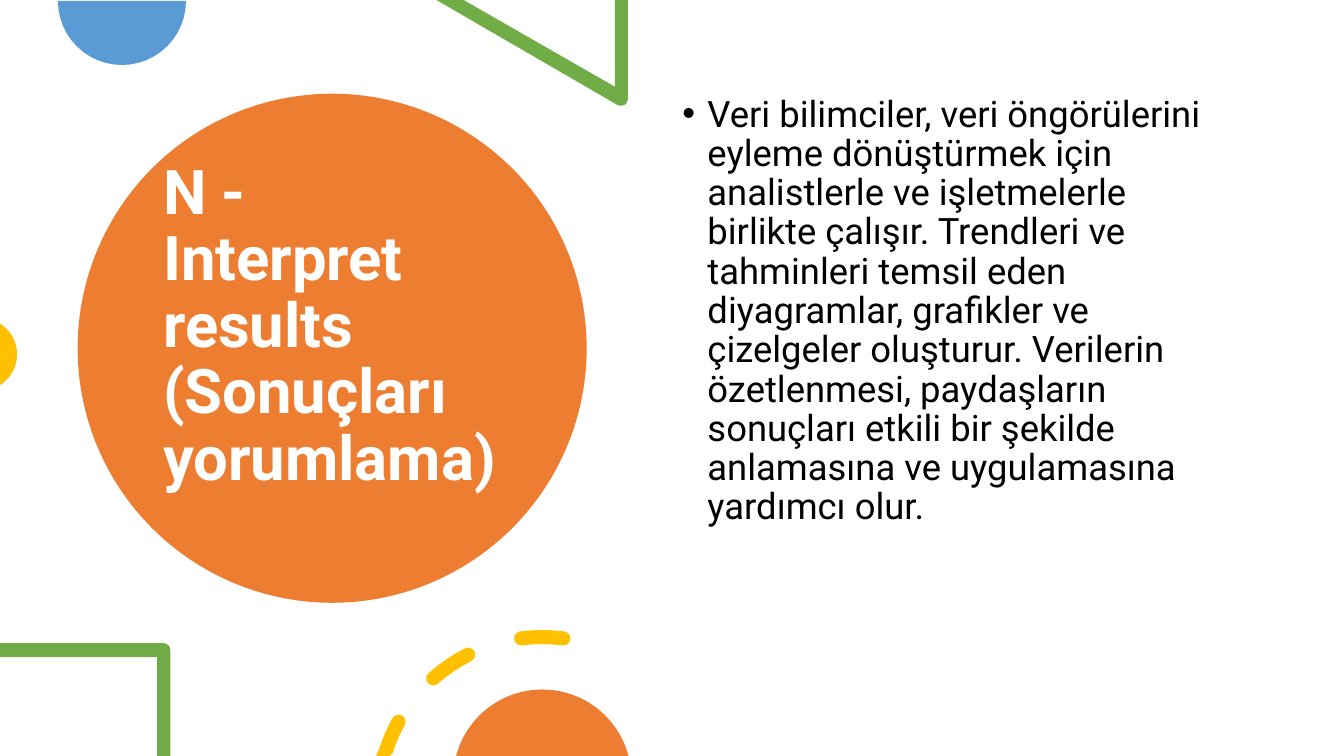
from math import cos, radians, sin

from lxml.etree import SubElement
from pptx import Presentation
from pptx.dml.color import RGBColor
from pptx.enum.shapes import MSO_SHAPE
from pptx.enum.text import MSO_ANCHOR, PP_ALIGN
from pptx.oxml.ns import qn
from pptx.util import Inches, Pt

ORANGE = RGBColor(0xED, 0x7D, 0x31)
BLUE = RGBColor(0x5B, 0x9B, 0xD5)
GREEN = RGBColor(0x70, 0xAD, 0x47)
YELLOW = RGBColor(0xFF, 0xC0, 0x00)
WHITE = RGBColor(0xFF, 0xFF, 0xFF)
BLACK = RGBColor(0x00, 0x00, 0x00)

# The grid has square cells, ten to the inch.
COLUMNS, ROWS = 133.33, 75

TITLE = "N - Interpret results (Sonuçları yorumlama)"
BODY = (
    "Veri bilimciler, veri öngörülerini eyleme dönüştürmek için analistlerle "
    "ve işletmelerle birlikte çalışır. Trendleri ve tahminleri temsil eden "
    "diyagramlar, grafikler ve çizelgeler oluşturur. Verilerin özetlenmesi, "
    "paydaşların sonuçları etkili bir şekilde anlamasına ve uygulamasına "
    "yardımcı olur."
)


def cells(count):
    return Inches(count / 10)


def arc(column, row, radius, start, end, steps=4):
    """Return points along an arc; angles run clockwise from the right."""
    angles = [radians(start + (end - start) * i / steps) for i in range(steps + 1)]
    return [(column + radius * cos(a), row + radius * sin(a)) for a in angles]


def dash(column, row, radius, middle, half_angle, half_width):
    """Return the outline of a thick, round-ended piece of a ring."""
    start, end = middle - half_angle, middle + half_angle
    tail, head = arc(column, row, radius, start, end, steps=1)
    return (
        arc(column, row, radius + half_width, start, end)
        + arc(*head, half_width, end, end + 180, steps=6)
        + arc(column, row, radius - half_width, end, start)
        + arc(*tail, half_width, start + 180, start + 360, steps=6)
    )


class SlideBuilder:
    """Draws flat shapes and text on one slide, measured in grid cells."""

    font = "Roboto"
    line_spacing = 0.9

    def __init__(self, presentation):
        self.slide = presentation.slides.add_slide(presentation.slide_layouts[6])

    def paint(self, shape, colour):
        shape.shadow.inherit = False
        shape.fill.solid()
        shape.fill.fore_color.rgb = colour
        shape.line.fill.background()

    def circle(self, left, top, size, colour):
        disc = self.slide.shapes.add_shape(
            MSO_SHAPE.OVAL, cells(left), cells(top), cells(size), cells(size)
        )
        self.paint(disc, colour)

    def outline(self, colour, *contours):
        """Fill closed contours, cut off at the edges of the slide."""
        builder = None
        for contour in contours:
            first, *rest = [
                (cells(min(max(x, 0), COLUMNS)), cells(min(max(y, 0), ROWS)))
                for x, y in contour
            ]
            if builder is None:
                builder = self.slide.shapes.build_freeform(*first, scale=1.0)
            else:
                builder.move_to(*first)
            builder.add_line_segments(rest, close=True)
        self.paint(builder.convert_to_shape(), colour)

    def text(self, wording, left, top, width, height, size, colour, bold=False):
        box = self.slide.shapes.add_textbox(
            cells(left), cells(top), cells(width), cells(height)
        )
        frame = box.text_frame
        frame.word_wrap = True
        frame.text = wording
        paragraph = frame.paragraphs[0]
        paragraph.alignment = PP_ALIGN.LEFT
        paragraph.line_spacing = self.line_spacing
        font = paragraph.runs[0].font
        font.name, font.size, font.bold = self.font, Pt(size), bold
        font.color.rgb = colour
        return frame

    def bullet(self, paragraph, indent):
        properties = paragraph._p.get_or_add_pPr()
        properties.set("marL", str(cells(indent)))
        properties.set("indent", str(-cells(indent)))
        SubElement(properties, qn("a:buFont")).set("typeface", "Arial")
        SubElement(properties, qn("a:buChar")).set("char", "•")


def main():
    presentation = Presentation()
    presentation.slide_width = cells(COLUMNS)
    presentation.slide_height = cells(ROWS)
    page = SlideBuilder(presentation)

    page.circle(7.7, 9.3, 50.5, ORANGE)
    title = page.text(TITLE, 15.2, 13.5, 35.4, 44.5, 44, WHITE, bold=True)
    title.vertical_anchor = MSO_ANCHOR.MIDDLE
    title.margin_bottom = cells(7.1)

    page.outline(BLUE, arc(12.1, 0.1, 6.35, 0, 180, steps=24))
    page.outline(
        GREEN,
        [(62.3, 0), (61, 0), (61, 8.6), (46, 0), (43.3, 0)]
        + arc(61.6, 9.8, 0.7, 120, 0),
    )
    page.outline(YELLOW, arc(-1.9, 35.15, 3.6, -58, 58, steps=12))

    body = page.text(BODY, 66.7, 9, 57.5, 53.5, 26, BLACK)
    body.paragraphs[0].space_before = Pt(10)
    page.bullet(body.paragraphs[0], 2.5)

    page.outline(
        GREEN,
        [(0, 65.2), (0, 63.8)]
        + arc(16.2, 64.5, 0.7, -90, 0)
        + [(16.9, 75), (15.6, 75), (15.6, 65.2)],
    )
    ring = [dash(53.8, 79.5, 16.3, 270 - 34.2 * i, 7.4, 0.7) for i in range(3)]
    page.outline(YELLOW, *reversed(ring))
    page.outline(ORANGE, arc(53.8, 77.25, 8.85, 194.8, 345.2, steps=24))

    presentation.save("out.pptx")


if __name__ == "__main__":
    main()
